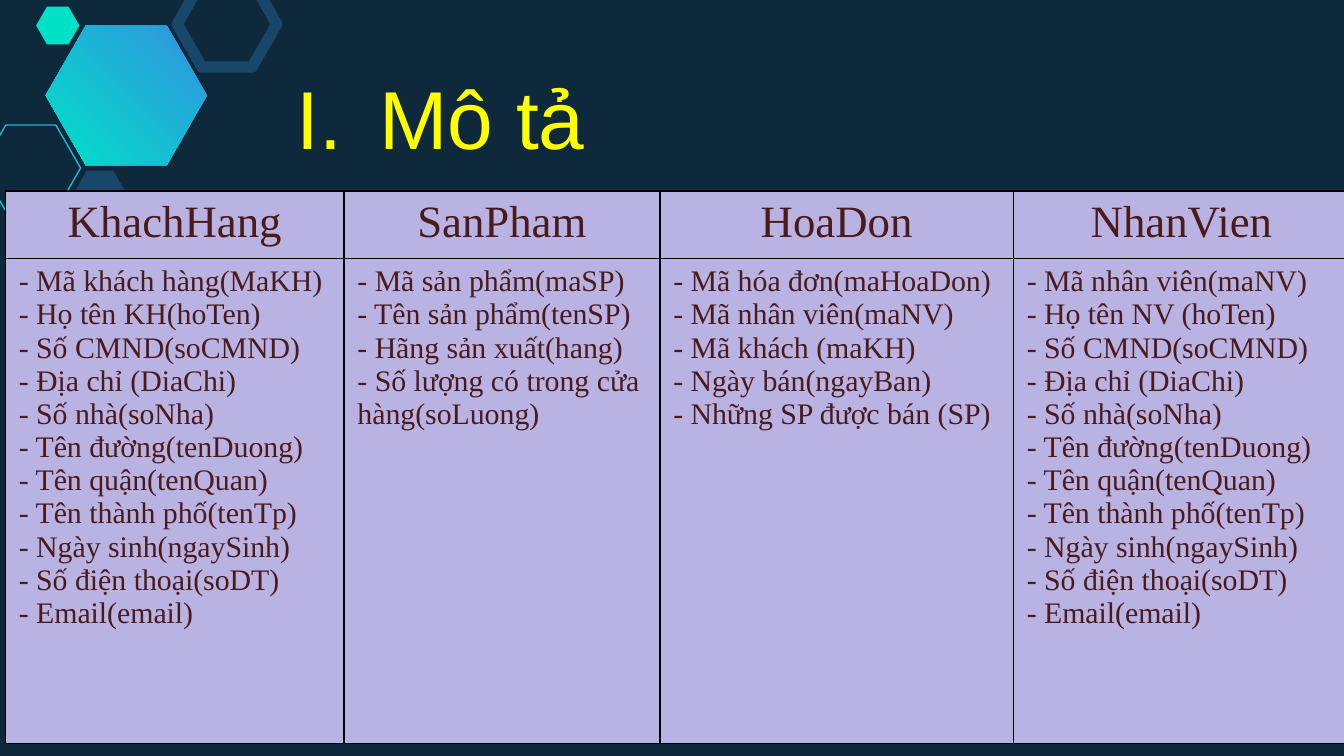
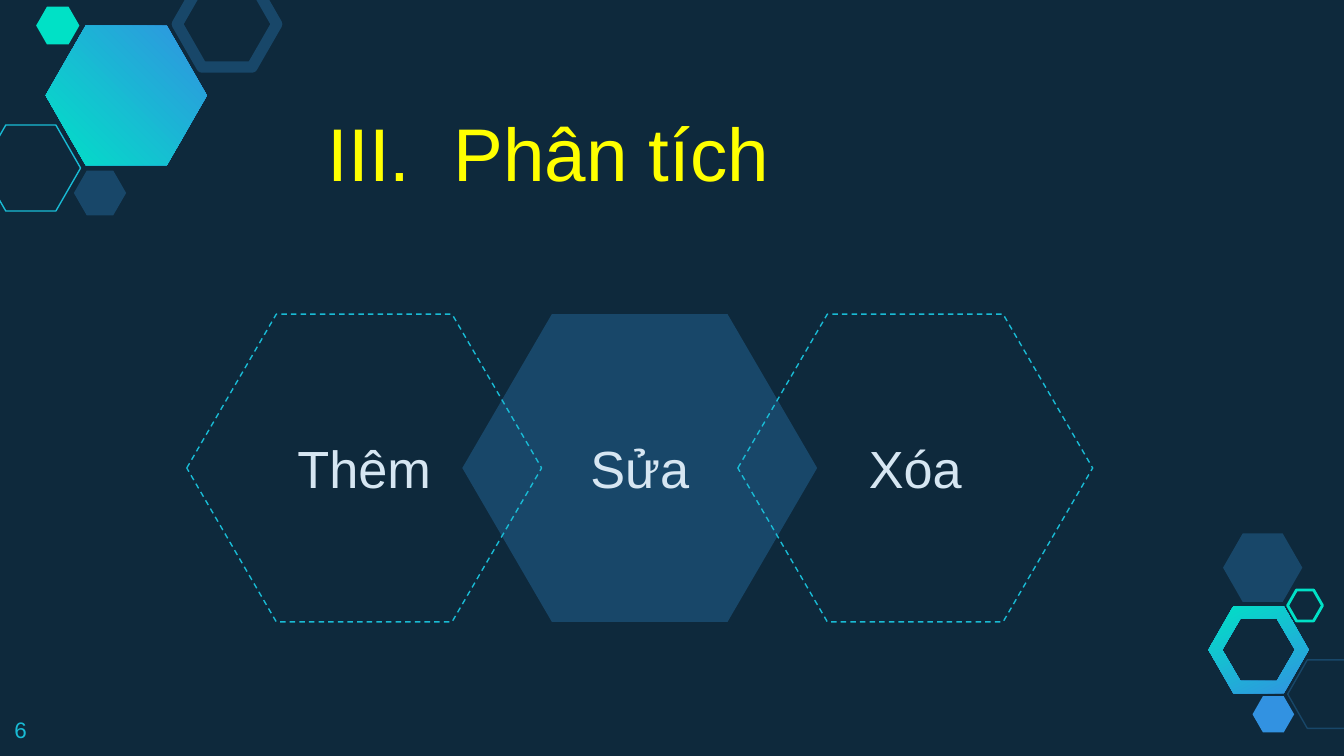
"""Build two slides of a shop database deck: the entity table and its operations."""
import dataclasses

import lxml.etree
import pptx
import pptx.dml.color
import pptx.enum.dml
import pptx.enum.shapes
import pptx.enum.text
import pptx.oxml.ns
import pptx.util

Pt = pptx.util.Pt
qn = pptx.oxml.ns.qn
ALIGN = pptx.enum.text.PP_ALIGN
ANCHOR = pptx.enum.text.MSO_ANCHOR


@dataclasses.dataclass(frozen=True)
class Theme:
    background: str = "0E293C"
    navy: str = "184769"
    blue: str = "3292E1"
    mint: str = "00E1C6"
    cyan: str = "19BBD5"
    title: str = "FFFF00"
    label: str = "D6E6F2"
    cell: str = "B9B3E4"
    cell_text: str = "4B1A1A"
    border: str = "000000"
    sans: str = "Arial"
    serif: str = "Times New Roman"
    number_size: int = 12
    body_size: int = 16
    header_size: int = 24
    label_size: int = 28


THEME = Theme()

CUSTOMER_DETAILS = [
    "- Số CMND(soCMND)",
    "- Địa chỉ (DiaChi)",
    "- Số nhà(soNha)",
    "- Tên đường(tenDuong)",
    "- Tên quận(tenQuan)",
    "- Tên thành phố(tenTp)",
    "- Ngày sinh(ngaySinh)",
    "- Số điện thoại(soDT)",
    "- Email(email)",
]
ENTITIES = {
    "KhachHang": ["- Mã khách hàng(MaKH)", "- Họ tên KH(hoTen)", *CUSTOMER_DETAILS],
    "SanPham": [
        "- Mã sản phẩm(maSP)",
        "- Tên sản phẩm(tenSP)",
        "- Hãng sản xuất(hang)",
        "- Số lượng có trong cửa hàng(soLuong)",
    ],
    "HoaDon": [
        "- Mã hóa đơn(maHoaDon)",
        "- Mã nhân viên(maNV)",
        "- Mã khách (maKH)",
        "- Ngày bán(ngayBan)",
        "- Những SP được bán (SP)",
    ],
    "NhanVien": ["- Mã nhân viên(maNV)", "- Họ tên NV (hoTen)", *CUSTOMER_DETAILS],
}


def rgb(value):
    return pptx.dml.color.RGBColor.from_string(value)


def write_text(frame, text, *, size, color, font=THEME.sans, align=ALIGN.LEFT,
               anchor=ANCHOR.TOP, inset=None):
    frame.word_wrap = True
    frame.vertical_anchor = anchor
    if inset is not None:
        frame.margin_left = frame.margin_right = Pt(inset)
        frame.margin_top = frame.margin_bottom = Pt(inset)
    frame.text = text
    for paragraph in frame.paragraphs:
        paragraph.alignment = align
        for run in paragraph.runs:
            run.font.size = Pt(size)
            run.font.name = font
            run.font.color.rgb = rgb(color)


def add_color(parent, color):
    lxml.etree.SubElement(parent, qn("a:srgbClr"), val=color)


class Deck:
    def __init__(self, theme):
        self.theme = theme
        self.presentation = pptx.Presentation()
        self.presentation.slide_width = Pt(720)
        self.presentation.slide_height = Pt(405)
        self.slide = None

    def add_slide(self):
        self.slide = self.presentation.slides.add_slide(self.presentation.slide_layouts[6])
        fill = self.slide.background.fill
        fill.solid()
        fill.fore_color.rgb = rgb(self.theme.background)
        self.add_decoration()

    def add_decoration(self):
        theme = self.theme
        self.add_ring(674.3, 348.1, 53.8, 46.8, 39, 33.4)
        main = self.add_hexagon(24.5, 13.7, 86.4, 74.9)
        self.fill_gradient(main, 225)
        self.add_hexagon(-10.1, 67, 53.3, 46.1, line=theme.cyan)
        self.add_hexagon(39.6, 91.4, 28, 24, fill=theme.navy)
        self.add_hexagon(95, -10.1, 53.3, 46.1, line=theme.navy, width=6)
        self.add_hexagon(19.4, 3.6, 23.2, 20.2, fill=theme.mint)
        self.add_hexagon(689.8, 353.5, 42.5, 36.7, line=theme.navy)
        self.add_hexagon(671, 373, 22.3, 19.4, fill=theme.blue)
        self.add_hexagon(655.2, 285.8, 42.5, 36.7, fill=theme.navy)
        self.add_hexagon(689.8, 316.1, 18.7, 16.6, line=theme.mint, width=1.5)

    def add_hexagon(self, left, top, width_pt, height, *, fill=None, line=None,
                    width=0.75, dashed=False, text=None, adjustment=0.287):
        shape = self.slide.shapes.add_shape(
            pptx.enum.shapes.MSO_SHAPE.HEXAGON, Pt(left), Pt(top), Pt(width_pt), Pt(height))
        shape.shadow.inherit = False
        shape.adjustments[0] = adjustment
        if fill:
            shape.fill.solid()
            shape.fill.fore_color.rgb = rgb(fill)
        else:
            shape.fill.background()
        if line:
            shape.line.color.rgb = rgb(line)
            shape.line.width = Pt(width)
            if dashed:
                shape.line.dash_style = pptx.enum.dml.MSO_LINE.DASH
        else:
            shape.line.fill.background()
        if text:
            write_text(shape.text_frame, text, size=self.theme.label_size,
                       color=self.theme.label, align=ALIGN.CENTER,
                       anchor=ANCHOR.MIDDLE, inset=7.2)
        return shape

    def add_ring(self, center_x, center_y, outer_width, outer_height, inner_width, inner_height):
        def corners(width, height):
            steps = [(-2, 0), (-1, -2), (1, -2), (2, 0), (1, 2), (-1, 2)]
            return [(Pt(center_x + x * width / 4), Pt(center_y + y * height / 4))
                    for x, y in steps]

        outer = corners(outer_width, outer_height)
        inner = corners(inner_width, inner_height)[::-1]
        builder = self.slide.shapes.build_freeform(*outer[0])
        builder.add_line_segments(outer[1:], close=True)
        builder.move_to(*inner[0])
        builder.add_line_segments(inner[1:], close=True)
        shape = builder.convert_to_shape()
        shape.shadow.inherit = False
        shape.line.fill.background()
        self.fill_gradient(shape, 116)

    def fill_gradient(self, shape, angle):
        shape.fill.gradient()
        shape.fill.gradient_angle = angle
        for stop, color in zip(shape.fill.gradient_stops, (self.theme.blue, self.theme.mint)):
            stop.color.rgb = rgb(color)

    def add_text(self, text, left, top, width, height, **style):
        box = self.slide.shapes.add_textbox(Pt(left), Pt(top), Pt(width), Pt(height))
        write_text(box.text_frame, text, **style)
        return box.text_frame

    def add_title(self, text, left, top, width, height, *, size, number, indent):
        color = self.theme.title
        frame = self.add_text(text, left, top, width, height, size=size, color=color)
        frame.margin_top = Pt(8)
        properties = frame.paragraphs[0]._p.get_or_add_pPr()
        properties.set("marL", str(Pt(indent)))
        properties.set("indent", str(-Pt(indent)))
        add_color(lxml.etree.SubElement(properties, qn("a:buClr")), color)
        lxml.etree.SubElement(properties, qn("a:buFont"), typeface=self.theme.sans)
        lxml.etree.SubElement(properties, qn("a:buAutoNum"),
                              type="romanUcPeriod", startAt=str(number))

    def add_page_number(self, number):
        self.add_text(str(number), 0.7, 376.6, 43.2, 28, size=self.theme.number_size,
                      color=self.theme.cyan, inset=7.2)

    def add_entity_table(self, entities, left, top, widths, heights):
        theme = self.theme
        table = self.slide.shapes.add_table(
            len(heights), len(widths), Pt(left), Pt(top),
            Pt(sum(widths)), Pt(sum(heights))).table
        table.first_row = table.horz_banding = False
        for row, height in zip(table.rows, heights):
            row.height = Pt(height)
        for index, (name, fields) in enumerate(entities.items()):
            table.columns[index].width = Pt(widths[index])
            header, body = table.cell(0, index), table.cell(1, index)
            write_text(header.text_frame, name, size=theme.header_size, font=theme.serif,
                       color=theme.cell_text, align=ALIGN.CENTER)
            write_text(body.text_frame, "\n".join(fields), size=theme.body_size,
                       font=theme.serif, color=theme.cell_text)
            self.style_cell(header)
            self.style_cell(body)

    def style_cell(self, cell):
        properties = cell._tc.get_or_add_tcPr()
        for side in ("lnL", "lnR", "lnT", "lnB"):
            line = lxml.etree.SubElement(properties, qn(f"a:{side}"), w=str(Pt(1)))
            add_color(lxml.etree.SubElement(line, qn("a:solidFill")), self.theme.border)
        cell.fill.solid()
        cell.fill.fore_color.rgb = rgb(self.theme.cell)


def build_description(deck):
    deck.add_slide()
    deck.add_title(" Mô tả", 152, 28, 211, 60.5, size=44, number=1, indent=32)
    deck.add_entity_table(ENTITIES, 2.9, 102.4, [181.4, 169.2, 189.4, 180], [36, 260])


def build_analysis(deck):
    deck.add_slide()
    hexagon_left, hexagon_step = 100.1, 147.6
    for position, text in ((1, "Sửa"), (0, "Thêm"), (2, "Xóa")):
        look = ({"fill": THEME.navy} if position == 1
                else {"line": THEME.cyan, "dashed": True})
        deck.add_hexagon(hexagon_left + position * hexagon_step, 168.3, 190.1, 164.9,
                         text=text, adjustment=0.291, **look)
    deck.add_page_number(6)
    deck.add_title("Phân tích", 168.5, 49, 389.5, 51, size=40, number=3, indent=67.5)


def main():
    deck = Deck(THEME)
    build_description(deck)
    build_analysis(deck)
    deck.presentation.save("out.pptx")


if __name__ == "__main__":
    main()
